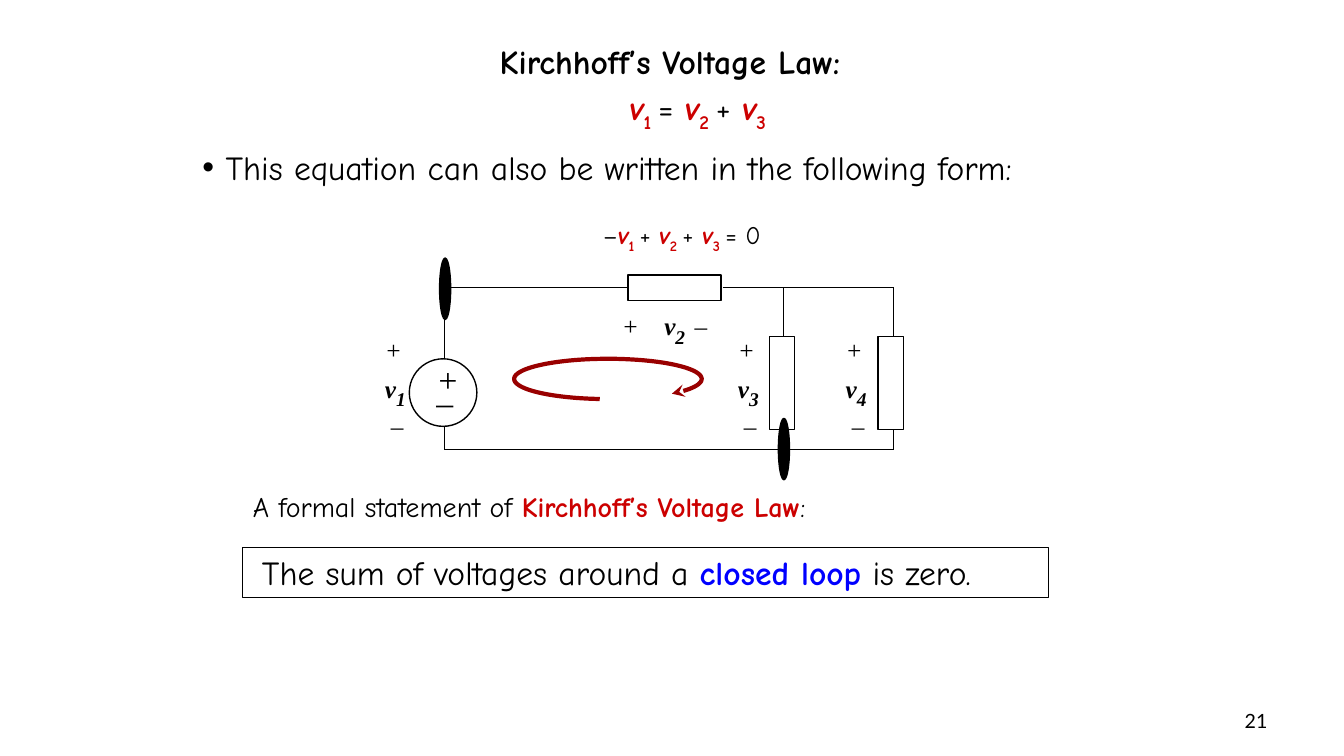
from dataclasses import dataclass, replace
from math import cos, radians, sin

from lxml.etree import SubElement
from pptx import Presentation
from pptx.dml.color import RGBColor
from pptx.enum.shapes import MSO_CONNECTOR, MSO_SHAPE
from pptx.enum.text import MSO_ANCHOR, PP_ALIGN
from pptx.oxml.ns import qn
from pptx.util import Inches, Pt

BLACK = RGBColor(0x00, 0x00, 0x00)
WHITE = RGBColor(0xFF, 0xFF, 0xFF)
RED = RGBColor(0xCC, 0x00, 0x00)
DARK_RED = RGBColor(0x99, 0x00, 0x00)
BLUE = RGBColor(0x00, 0x00, 0xFF)

BODY_FONT = "Comic Neue"
CIRCUIT_FONT = "Times New Roman"
NUMBER_FONT = "Lato"


@dataclass(frozen=True)
class Span:
    text: str
    size: int = 18
    color: RGBColor = BLACK
    bold: bool = False
    italic: bool = False
    subscript: bool = False
    font: str = BODY_FONT


@dataclass(frozen=True)
class Line:
    spans: list[Span]
    align: PP_ALIGN = PP_ALIGN.LEFT
    margin: float = 0
    bullet: str = ""
    space_before: float = 0
    tabs: tuple[float, ...] = ()


@dataclass(frozen=True)
class Box:
    left: float
    top: float
    width: float
    height: float


@dataclass(frozen=True)
class Wire:
    x1: float
    y1: float
    x2: float
    y2: float


@dataclass(frozen=True)
class Part:
    outline: MSO_SHAPE
    box: Box
    fill: RGBColor = WHITE
    weight: float = 1


def write_line(paragraph, line: Line) -> None:
    paragraph.alignment = line.align
    paragraph.space_before = Pt(line.space_before)
    properties = paragraph._p.get_or_add_pPr()
    properties.set("marL", str(Inches(line.margin)))
    if line.bullet:
        properties.set("indent", str(-Inches(line.margin)))
        SubElement(properties, qn("a:buFont"), typeface="Arial")
        SubElement(properties, qn("a:buChar"), char=line.bullet)
    if line.tabs:
        tab_list = SubElement(properties, qn("a:tabLst"))
        for position in line.tabs:
            SubElement(tab_list, qn("a:tab"), pos=str(Inches(position)), algn="l")
    for span in line.spans:
        run = paragraph.add_run()
        run.text = span.text
        run.font.name = span.font
        run.font.size = Pt(span.size)
        run.font.bold = span.bold
        run.font.italic = span.italic
        run.font.color.rgb = span.color
        if span.subscript:
            run._r.get_or_add_rPr().set("baseline", "-25000")


def write_lines(frame, lines: list[Line], anchor: MSO_ANCHOR = MSO_ANCHOR.TOP) -> None:
    frame.word_wrap = True
    frame.vertical_anchor = anchor
    for index, line in enumerate(lines):
        write_line(frame.add_paragraph() if index else frame.paragraphs[0], line)


def add_text(shapes, box: Box, lines: list[Line], anchor: MSO_ANCHOR = MSO_ANCHOR.TOP) -> None:
    label = shapes.add_textbox(Inches(box.left), Inches(box.top), Inches(box.width), Inches(box.height))
    write_lines(label.text_frame, lines, anchor)


def add_part(shapes, part: Part):
    box = part.box
    shape = shapes.add_shape(
        part.outline, Inches(box.left), Inches(box.top), Inches(box.width), Inches(box.height)
    )
    shape.shadow.inherit = False
    shape.fill.solid()
    shape.fill.fore_color.rgb = part.fill
    shape.line.color.rgb = BLACK
    shape.line.width = Pt(part.weight)
    return shape


def add_wire(shapes, wire: Wire) -> None:
    connector = shapes.add_connector(
        MSO_CONNECTOR.STRAIGHT, Inches(wire.x1), Inches(wire.y1), Inches(wire.x2), Inches(wire.y2)
    )
    connector.line.color.rgb = BLACK
    connector.line.width = Pt(1)
    SubElement(connector._element.spPr, qn("a:effectLst"))


def add_loop_arrow(shapes) -> None:
    points = [
        (Inches(6.03 + 0.93 * cos(radians(angle))), Inches(3.76 + 0.2 * sin(radians(angle))))
        for angle in range(95, 408, 3)
    ]
    builder = shapes.build_freeform(*points[0], scale=1.0)
    builder.add_line_segments(points[1:], close=False)
    loop = builder.convert_to_shape()
    loop.shadow.inherit = False
    loop.fill.background()
    loop.line.color.rgb = DARK_RED
    loop.line.width = Pt(3)
    SubElement(loop.line._get_or_add_ln(), qn("a:tailEnd"), type="stealth")


def voltage(index: str, size: int) -> list[Span]:
    letter = Span("v", size, RED, bold=True, italic=True)
    return [letter, replace(letter, text=index, italic=False, subscript=True)]


def circuit_voltage(index: str) -> list[Span]:
    letter = Span("v", bold=True, italic=True, font=CIRCUIT_FONT)
    return [letter, replace(letter, text=index, size=24, subscript=True)]


def circuit_sign(sign: str, size: int = 18) -> Span:
    return Span(sign, size, italic=True, font=CIRCUIT_FONT)


def add_polarity(shapes, left: float, index: str) -> None:
    add_text(shapes, Box(left, 3.27, 0.5, 1.01), [
        Line([circuit_sign("+")]),
        Line(circuit_voltage(index)),
        Line([circuit_sign("–")], margin=0.06),
    ])


def add_statements(shapes) -> None:
    add_text(shapes, Box(9.56, 6.95, 3.11, 0.4),
             [Line([Span("21", 14, font=NUMBER_FONT)], PP_ALIGN.RIGHT)], MSO_ANCHOR.MIDDLE)
    add_text(shapes, Box(1.91, 1.41, 9.52, 0.5),
             [Line([Span("This equation can also be written in the following form:", 24)],
                   margin=0.23, bullet="•")])
    plus = Span("+ ", 24)
    add_text(shapes, Box(4.53, 0.36, 4.23, 0.98), [
        Line([Span("Kirchhoff’s Voltage Law:", 24, bold=True)], PP_ALIGN.CENTER),
        Line([*voltage("1 ", 24), replace(plus, text="= "), *voltage("2 ", 24), plus, *voltage("3", 24)],
             PP_ALIGN.CENTER, margin=0.55, space_before=4),
    ])
    plus = Span("+ ")
    add_text(shapes, Box(5.88, 2.13, 2.08, 0.4), [
        Line([Span("–"), *voltage("1 ", 18), plus, *voltage("2 ", 18), plus, *voltage("3 ", 18), Span("= 0")]),
    ])
    add_text(shapes, Box(2.41, 4.81, 6.56, 0.44), [
        Line([Span("A formal statement of ", 20), Span("Kirchhoff’s Voltage Law", 20, RED, bold=True),
              Span(":", 20)]),
    ])
    law = add_part(shapes, Part(MSO_SHAPE.RECTANGLE, Box(2.41, 5.43, 7.99, 0.5), weight=0.75))
    write_lines(law.text_frame, [
        Line([Span("The sum of voltages around a ", 24), Span("closed loop", 24, BLUE, bold=True),
              Span(" is zero.", 24)], margin=0.09),
    ])


def add_circuit(shapes) -> None:
    top, bottom, source_x, middle_x, right_x = 2.85, 4.46, 4.41, 7.77, 8.86
    for wire in (
        Wire(source_x, top, source_x, 3.57),
        Wire(source_x, 4.23, source_x, bottom),
        Wire(source_x, top, 6.23, top),
        Wire(7.17, top, right_x, top),
        Wire(middle_x, top, middle_x, 3.34),
        Wire(middle_x, 4.25, middle_x, bottom),
        Wire(right_x, top, right_x, 3.34),
        Wire(right_x, 4.26, right_x, bottom),
        Wire(source_x, bottom, right_x, bottom),
    ):
        add_wire(shapes, wire)
    for part in (
        Part(MSO_SHAPE.OVAL, Box(4.06, 3.56, 0.67, 0.67)),
        Part(MSO_SHAPE.RECTANGLE, Box(6.23, 2.73, 0.92, 0.25)),
        Part(MSO_SHAPE.RECTANGLE, Box(7.63, 3.34, 0.25, 0.92)),
        Part(MSO_SHAPE.RECTANGLE, Box(8.71, 3.34, 0.25, 0.92)),
        Part(MSO_SHAPE.OVAL, Box(4.36, 2.56, 0.11, 0.61), BLACK),
        Part(MSO_SHAPE.OVAL, Box(7.72, 4.15, 0.11, 0.61), BLACK),
    ):
        add_part(shapes, part)
    for top_edge, sign in ((3.51, "+"), (3.62, "_")):
        add_text(shapes, Box(4.23, top_edge, 0.43, 0.5), [Line([circuit_sign(sign, 24)])])
    add_text(shapes, Box(6.07, 2.95, 1.16, 0.4), [
        Line([circuit_sign("+\t"), *circuit_voltage("2"), circuit_sign("\t–")], tabs=(0.42, 0.72)),
    ])
    for left, index in ((7.22, "3"), (8.29, "4"), (3.72, "1")):
        add_polarity(shapes, left, index)
    add_loop_arrow(shapes)


def main() -> None:
    deck = Presentation()
    deck.slide_width, deck.slide_height = Inches(13.33), Inches(7.5)
    slide = deck.slides.add_slide(deck.slide_layouts[6])
    add_statements(slide.shapes)
    add_circuit(slide.shapes)
    deck.save("out.pptx")


if __name__ == "__main__":
    main()
